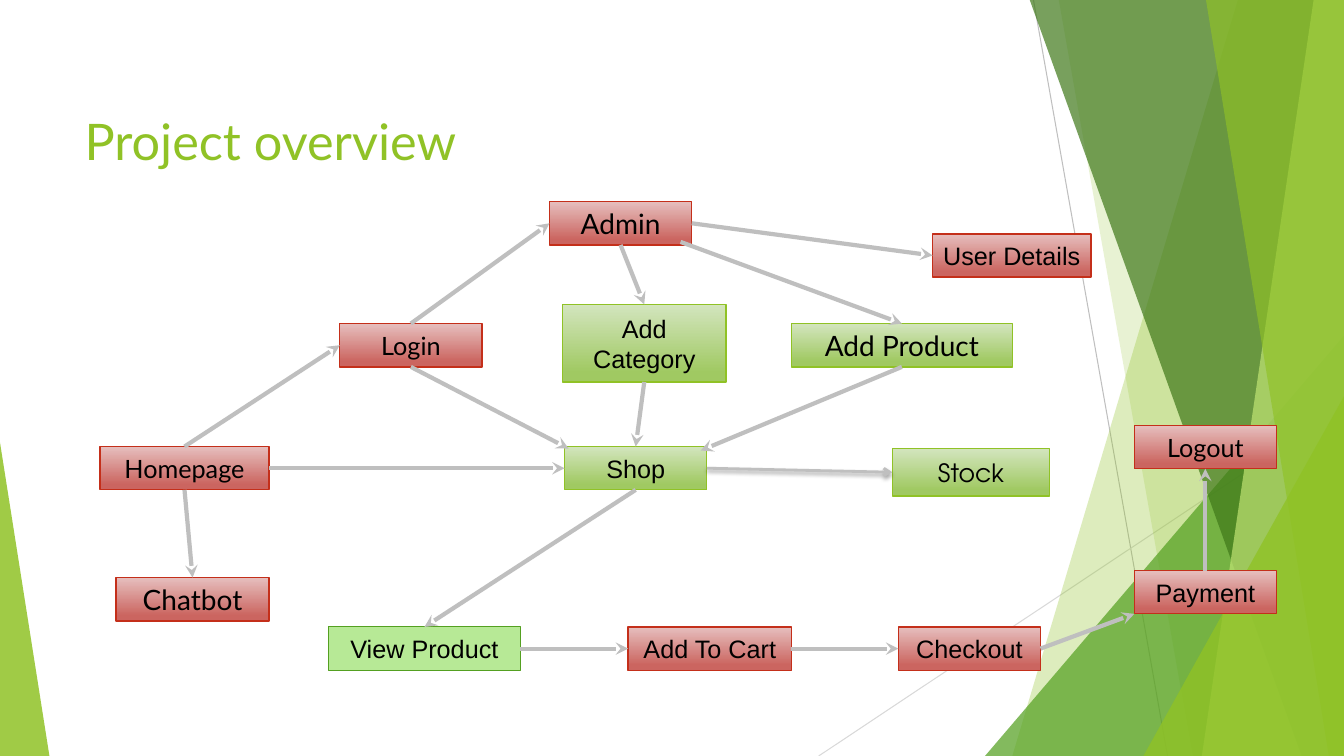
"""Build the project overview flow slide."""
from dataclasses import dataclass
from typing import Optional

from lxml import etree
from pptx import Presentation
from pptx.dml.color import RGBColor
from pptx.enum import shapes, text
from pptx.oxml import ns
from pptx.util import Inches, Pt

COLORS = {
    "lime": "90C226", "green": "54A021", "forest": "3F7819", "pale lime": "C0E474",
    "red": "C42F1A", "red top": "E6BFBE", "red base": "CB6560",
    "lime top": "D3E5BE", "lime base": "A0C962", "mint": "B7E996",
    "arrow": "BFBFBF", "thin line": "D9D9D9", "text": "000000",
}
WIDTH, HEIGHT, BLEED = 13.33, 7.5, -0.01
TOP, LEFT, BOTTOM, RIGHT = range(4)


@dataclass
class Ray:
    start: tuple[float, float]
    end: tuple[float, float]
    color: str


@dataclass
class Sliver:
    top_x: float
    bottom_x: float
    color: str
    opacity: int


@dataclass
class Wedge:
    left: float
    top: float
    right: float
    apex: int
    color: str
    opacity: int


@dataclass
class Step:
    label: str
    left: float
    top: float
    width: float = 1.41
    height: float = 0.43
    theme: str = "red"
    font: str = "Arial"
    size: int = 18


@dataclass
class Flow:
    source: str
    source_side: int
    target: str
    target_side: Optional[int]
    start: tuple[float, float] = (0, 0)
    end: tuple[float, float] = (0, 0)
    weight: float = 3
    head: str = "stealth"
    shaded: bool = False


RAYS = [
    Ray((10.25, 0), (11.58, HEIGHT), "arrow"),
    Ray((WIDTH, 4.03), (8.12, HEIGHT), "thin line"),
]
FACETS = [
    Sliver(12.28, 10.04, "lime", 30),
    Sliver(10.5, 11.83, "lime", 20),
    Wedge(9.77, 3.33, WIDTH, 1, "green", 72),
    Sliver(10.21, 12.91, "forest", 70),
    Sliver(13.03, 11.92, "pale lime", 70),
    Sliver(11.96, 13.18, "lime", 65),
    Wedge(11.34, 3.93, WIDTH, 1, "lime", 80),
    Wedge(0, 4.39, 0.49, 0, "lime", 85),
]
STEPS = [
    Step("Login", 3.37, 3.21, font="Lato"),
    Step("Homepage", 0.99, 4.43, 1.68, font="Lato"),
    Step("Shop", 5.6, 4.43, theme="lime"),
    Step("User Details", 9.25, 2.32, 1.57),
    Step("View Product", 3.26, 6.22, 1.9, theme="mint"),
    Step("Payment", 11.25, 5.66),
    Step("Add To Cart", 6.23, 6.22, 1.62),
    Step("Checkout", 8.91, 6.22),
    Step("Admin", 5.45, 2, font="Lato", size=20),
    Step("Add Category", 5.58, 3.02, 1.62, 0.77, "lime"),
    Step("Add Product", 7.85, 3.21, 2.19, theme="lime", font="Lato", size=20),
    Step("Logout", 11.25, 4.22, font="Lato"),
    Step("Chatbot", 1.15, 5.73, 1.52, font="Lato", size=20),
    Step("Stock", 8.85, 4.45, 1.56, 0.47, "lime", "TeX Gyre Adventor"),
]
FLOWS = [
    Flow("Homepage", TOP, "Login", LEFT),
    Flow("Homepage", RIGHT, "Shop", LEFT),
    Flow("Login", TOP, "Admin", LEFT),
    Flow("Admin", BOTTOM, "Add Category", TOP),
    Flow("", BOTTOM, "Add Product", TOP, start=(6.75, 2.4)),
    Flow("Admin", RIGHT, "User Details", LEFT),
    Flow("Login", BOTTOM, "Shop", None, end=(5.64, 4.45)),
    Flow("Add Category", BOTTOM, "Shop", TOP),
    Flow("Add Product", BOTTOM, "Shop", None, end=(6.95, 4.47)),
    Flow("Shop", BOTTOM, "View Product", TOP),
    Flow("View Product", RIGHT, "Add To Cart", LEFT),
    Flow("Add To Cart", RIGHT, "Checkout", LEFT),
    Flow("Checkout", RIGHT, "Payment", None, end=(11.25, 6.09)),
    Flow("Payment", TOP, "Logout", BOTTOM),
    Flow("Homepage", BOTTOM, "Chatbot", TOP),
    Flow("Shop", RIGHT, "Stock", LEFT, weight=2, head="arrow", shaded=True),
]


def rgb(name: str) -> RGBColor:
    return RGBColor.from_string(COLORS[name])


def add_xml(parent, tag: str, **attributes: str):
    return etree.SubElement(parent, ns.qn(tag), attributes)


def draw_line(slide, start, end, color: str, weight: float):
    line = slide.shapes.add_connector(
        shapes.MSO_CONNECTOR.STRAIGHT, *map(Inches, (*start, *end)))
    line.line.color.rgb = rgb(color)
    line.line.width = Pt(weight)
    return line, add_xml(line._element.spPr, "a:effectLst")


def draw_facet(slide, facet) -> None:
    if isinstance(facet, Sliver):
        outline = slide.shapes.build_freeform(Inches(facet.top_x), Inches(BLEED))
        corners = [(WIDTH, BLEED), (WIDTH, HEIGHT), (facet.bottom_x, HEIGHT)]
        outline.add_line_segments([(Inches(x), Inches(y)) for x, y in corners])
        pane = outline.convert_to_shape()
    else:
        pane = slide.shapes.add_shape(
            shapes.MSO_SHAPE.ISOSCELES_TRIANGLE, Inches(facet.left), Inches(facet.top),
            Inches(facet.right - facet.left), Inches(HEIGHT - facet.top))
        pane.adjustments[0] = facet.apex
    pane.shadow.inherit = False
    pane.line.fill.background()
    pane.fill.solid()
    pane.fill.fore_color.rgb = rgb(facet.color)
    tint = pane._element.spPr.find(ns.qn("a:solidFill"))[0]
    add_xml(tint, "a:alpha", val=str(facet.opacity * 1000))


def write(frame, wording: str, font: str, size: int, color: str):
    frame.vertical_anchor = text.MSO_ANCHOR.MIDDLE
    run = frame.paragraphs[0].add_run()
    run.text = wording
    run.font.name, run.font.size = font, Pt(size)
    run.font.color.rgb = rgb(color)


def draw_step(slide, step: Step):
    box = slide.shapes.add_shape(
        shapes.MSO_SHAPE.RECTANGLE,
        *map(Inches, (step.left, step.top, step.width, step.height)))
    box.shadow.inherit = False
    plain = step.theme == "mint"
    if plain:
        box.fill.solid()
        box.fill.fore_color.rgb = rgb("mint")
    else:
        box.fill.gradient()
        box.fill.gradient_angle = 270
        ramp = zip(box.fill.gradient_stops, (0, 0.88), ("top", "base"))
        for stop, position, shade in ramp:
            stop.position = position
            stop.color.rgb = rgb(f"{step.theme} {shade}")
    box.line.color.rgb = rgb("green" if plain else step.theme)
    box.line.width = Pt(0.75 if plain else 1)
    box.text_frame.word_wrap = step.height > 0.5
    write(box.text_frame, step.label, step.font, step.size, "text")
    box.text_frame.paragraphs[0].alignment = text.PP_ALIGN.CENTER
    return box


def draw_flow(slide, flow: Flow, boxes: dict) -> None:
    arrow, effects = draw_line(slide, flow.start, flow.end, "arrow", flow.weight)
    if flow.source:
        arrow.begin_connect(boxes[flow.source], flow.source_side)
    if flow.target_side is not None:
        arrow.end_connect(boxes[flow.target], flow.target_side)
    add_xml(arrow.line._get_or_add_ln(), "a:tailEnd", type=flow.head)
    if flow.shaded:
        shadow = add_xml(effects, "a:outerShdw", blurRad=str(Pt(3)),
                         dist=str(Pt(2)), dir="5400000", rotWithShape="0")
        add_xml(add_xml(shadow, "a:srgbClr", val=COLORS["text"]), "a:alpha", val="35000")


def main() -> None:
    deck = Presentation()
    deck.slide_width, deck.slide_height = Inches(WIDTH), Inches(HEIGHT)
    slide = deck.slides.add_slide(deck.slide_layouts[6])
    for ray in RAYS:
        draw_line(slide, ray.start, ray.end, ray.color, 0.75)
    for facet in FACETS:
        draw_facet(slide, facet)
    title = slide.shapes.add_textbox(*map(Inches, (0.74, 0.67, 9.4, 1.44)))
    title.text_frame.word_wrap = True
    write(title.text_frame, "Project overview", "Lato", 36, "lime")
    boxes = {step.label: draw_step(slide, step) for step in STEPS}
    for flow in FLOWS:
        draw_flow(slide, flow, boxes)
    deck.save("out.pptx")


if __name__ == "__main__":
    main()
